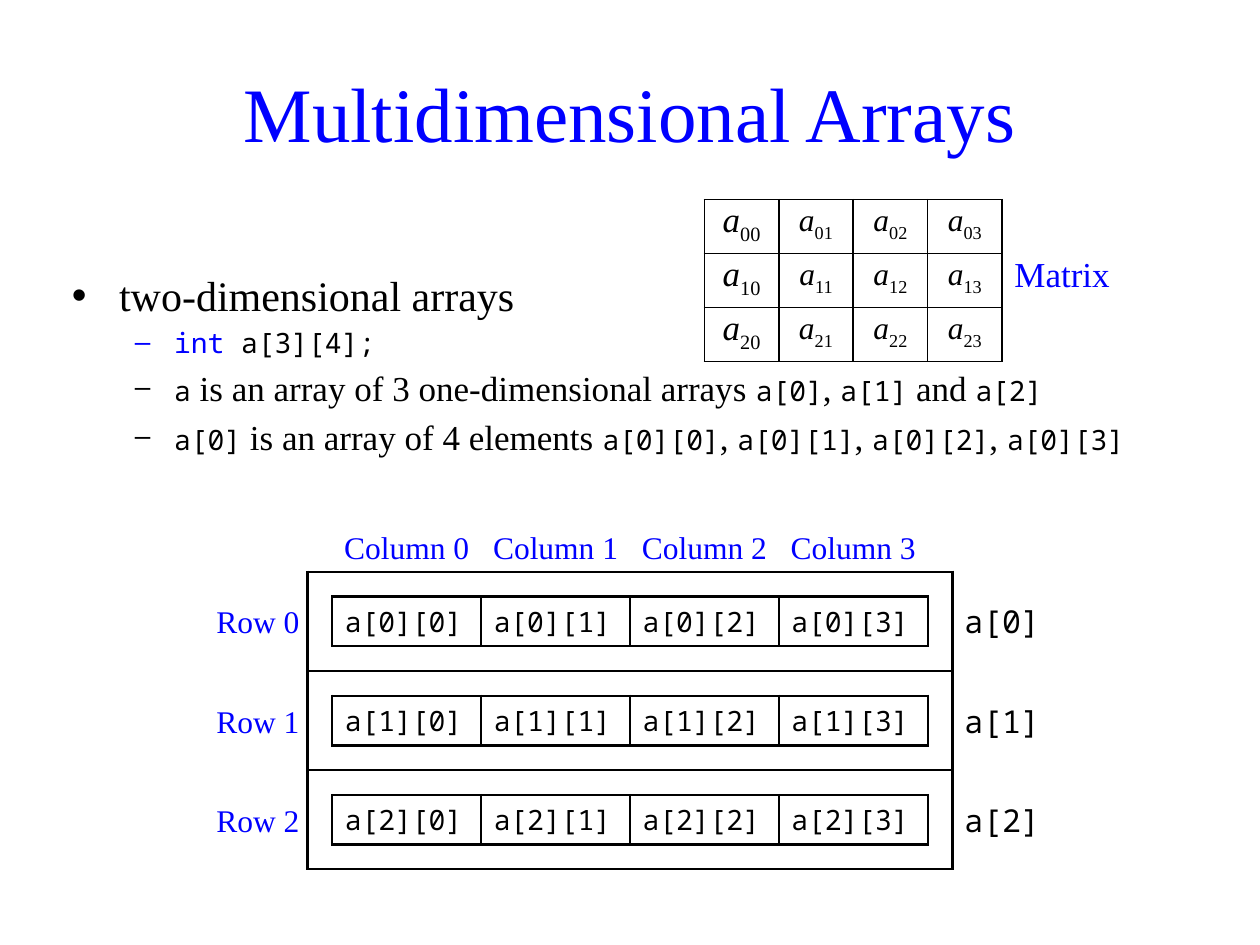
"""Build the slide on multidimensional arrays."""
from dataclasses import dataclass

from lxml import etree
from pptx import Presentation
from pptx import util as u
from pptx.dml.color import RGBColor
from pptx.enum import text as t
from pptx.oxml import ns


@dataclass(frozen=True)
class Theme:
    ink: RGBColor = RGBColor(0, 0, 0)
    accent: RGBColor = RGBColor(0, 0, 255)
    serif: str = "Times New Roman"
    mono: str = "Noto Sans Mono"
    title: int = 44
    heading: int = 24
    body: int = 20
    label: int = 18
    code: int = 16


@dataclass(frozen=True)
class Area:
    left: float
    top: float
    width: float
    height: float

    def lengths(self):
        return [u.Pt(v) for v in (self.left, self.top, self.width, self.height)]


@dataclass(frozen=True)
class Label:
    text: str
    area: Area
    color: RGBColor
    face: str
    size: int
    align: t.PP_ALIGN = t.PP_ALIGN.CENTER
    inset: float = 0


@dataclass(frozen=True)
class Bullet:
    text: str
    level: int
    margin: float
    hanging: float
    size: int


THEME = Theme()
UNIT = 28.35
ROWS, COLUMNS = 3, 4
CELL = 3 * UNIT
OUTER = Area(175.75, 326.7, 13 * UNIT, 6 * UNIT)
INNER_LEFT = OUTER.left + UNIT / 2
MATRIX = Area(402.5, 114, 6 * UNIT, 3 * UNIT)
BULLETS = [
    Bullet("two-dimensional arrays", 0, 27, 27, THEME.heading),
    Bullet("`int`` a[3][4];`", 1, 58.5, 22.5, THEME.body),
    Bullet("`a` is an array of 3 one-dimensional arrays `a[0]`, `a[1]` and `a[2]`",
           1, 58.5, 22.5, THEME.body),
    Bullet("`a[0]` is an array of 4 elements `a[0][0]`, `a[0][1]`, `a[0][2]`, `a[0][3]`",
           1, 58.5, 22.5, THEME.body),
]


def style(font, face: str, size: float, color: RGBColor) -> None:
    font.name, font.size = face, u.Pt(size)
    font.color.rgb = color


def set_insets(target, left: float, top: float, right: float, bottom: float) -> None:
    target.margin_left, target.margin_top = u.Pt(left), u.Pt(top)
    target.margin_right, target.margin_bottom = u.Pt(right), u.Pt(bottom)


def add_border(cell, side: str, width: float) -> None:
    line = etree.SubElement(cell._tc.get_or_add_tcPr(), ns.qn(f"a:ln{side}"), w=str(u.Pt(width)))
    fill = etree.SubElement(line, ns.qn("a:solidFill"))
    etree.SubElement(fill, ns.qn("a:srgbClr"), val=str(THEME.ink))


def add_grid(page, area: Area, rows: int, columns: int, edge: float, divider: float):
    grid = page.shapes.add_table(rows, columns, *area.lengths()).table
    grid.first_row = grid.horz_banding = False
    for column in grid.columns:
        column.width = u.Pt(area.width / columns)
    for row in grid.rows:
        row.height = u.Pt(area.height / rows)
        for j, cell in enumerate(row.cells):
            add_border(cell, "L", edge if j == 0 else divider)
            add_border(cell, "R", edge if j == columns - 1 else divider)
            add_border(cell, "T", edge)
            add_border(cell, "B", edge)
            cell.fill.background()
            cell.vertical_anchor = t.MSO_ANCHOR.MIDDLE
    return grid


def add_label(page, label: Label) -> None:
    box = page.shapes.add_textbox(*label.area.lengths())
    frame = box.text_frame
    frame.word_wrap = False
    frame.vertical_anchor = t.MSO_ANCHOR.MIDDLE
    set_insets(frame, label.inset, 3.6, 0, 3.6)
    para = frame.paragraphs[0]
    para.text, para.alignment = label.text, label.align
    style(para.font, label.face, label.size, label.color)


def add_array_row(page, row: int, top: float) -> None:
    grid = add_grid(page, Area(INNER_LEFT, top, COLUMNS * CELL, UNIT), 1, COLUMNS, 1.5, 1)
    for column, cell in enumerate(grid.rows[0].cells):
        set_insets(cell, 7.2, 2.88, 7.2, 2.88)
        para = cell.text_frame.paragraphs[0]
        para.text = f"a[{row}][{column}]"
        style(para.font, THEME.mono, THEME.code, THEME.ink)


def add_matrix(page) -> None:
    grid = add_grid(page, MATRIX, ROWS, COLUMNS, 1, 1)
    for i, row in enumerate(grid.rows):
        for j, cell in enumerate(row.cells):
            set_insets(cell, 0, 0, 0, 3.5)
            para = cell.text_frame.paragraphs[0]
            para.alignment = t.PP_ALIGN.CENTER
            style(para.font, THEME.serif, THEME.label if j else THEME.body, THEME.ink)
            name, index = para.add_run(), para.add_run()
            name.text, index.text = "a", f"{i}{j}"
            name.font.italic = True
            index._r.get_or_add_rPr().set("baseline", "-25000")


def fill_title(title) -> None:
    title.left, title.top, title.width, title.height = Area(33.84, 28.8, 652.32, 70.56).lengths()
    title.text_frame.vertical_anchor = t.MSO_ANCHOR.MIDDLE
    para = title.text_frame.paragraphs[0]
    para.text, para.alignment = "Multidimensional Arrays", t.PP_ALIGN.CENTER
    style(para.font, THEME.serif, THEME.title, THEME.accent)


def fill_body(body) -> None:
    body.left, body.top, body.width, body.height = Area(33.84, 142.56, 652.32, 127.44).lengths()
    frame = body.text_frame
    frame.auto_size = t.MSO_AUTO_SIZE.NONE
    set_insets(frame, 7.2, 11.52, 7.2, 3.6)
    for number, bullet in enumerate(BULLETS):
        para = frame.add_paragraph() if number else frame.paragraphs[0]
        para.level = bullet.level
        properties = para._p.get_or_add_pPr()
        properties.set("marL", str(u.Pt(bullet.margin)))
        properties.set("indent", str(-u.Pt(bullet.hanging)))
        for part, words in enumerate(bullet.text.split("`")):
            if words:
                span = para.add_run()
                span.text = words
                face, size = (THEME.mono, THEME.code) if part % 2 else (THEME.serif, bullet.size)
                style(span.font, face, size, THEME.accent if words == "int" else THEME.ink)


def main() -> None:
    deck = Presentation()
    deck.slide_width, deck.slide_height = u.Pt(720), u.Pt(540)
    page = deck.slides.add_slide(deck.slide_layouts[1])
    fill_title(page.shapes.title)
    fill_body(page.placeholders[1])
    add_grid(page, OUTER, ROWS, 1, 1.5, 1.5)
    labels = [Label("Matrix", Area(MATRIX.left + MATRIX.width, MATRIX.top + UNIT, 70.9, UNIT),
                    THEME.accent, THEME.serif, THEME.body, t.PP_ALIGN.LEFT, 7.2)]
    for row in range(ROWS):
        top = OUTER.top + UNIT / 2 + row * 2 * UNIT
        add_array_row(page, row, top)
        labels += [
            Label(f"Row {row}", Area(OUTER.left - 2 * UNIT, top, 2 * UNIT, UNIT),
                  THEME.accent, THEME.serif, THEME.label),
            Label(f"a[{row}]", Area(OUTER.left + OUTER.width, top, 2 * UNIT, UNIT),
                  THEME.ink, THEME.mono, THEME.label),
        ]
    for column in range(COLUMNS):
        area = Area(INNER_LEFT + column * CELL, OUTER.top - UNIT, CELL, UNIT)
        labels.append(Label(f"Column {column}", area, THEME.accent, THEME.serif, THEME.label))
    for label in labels:
        add_label(page, label)
    add_matrix(page)
    deck.save("out.pptx")


main()
